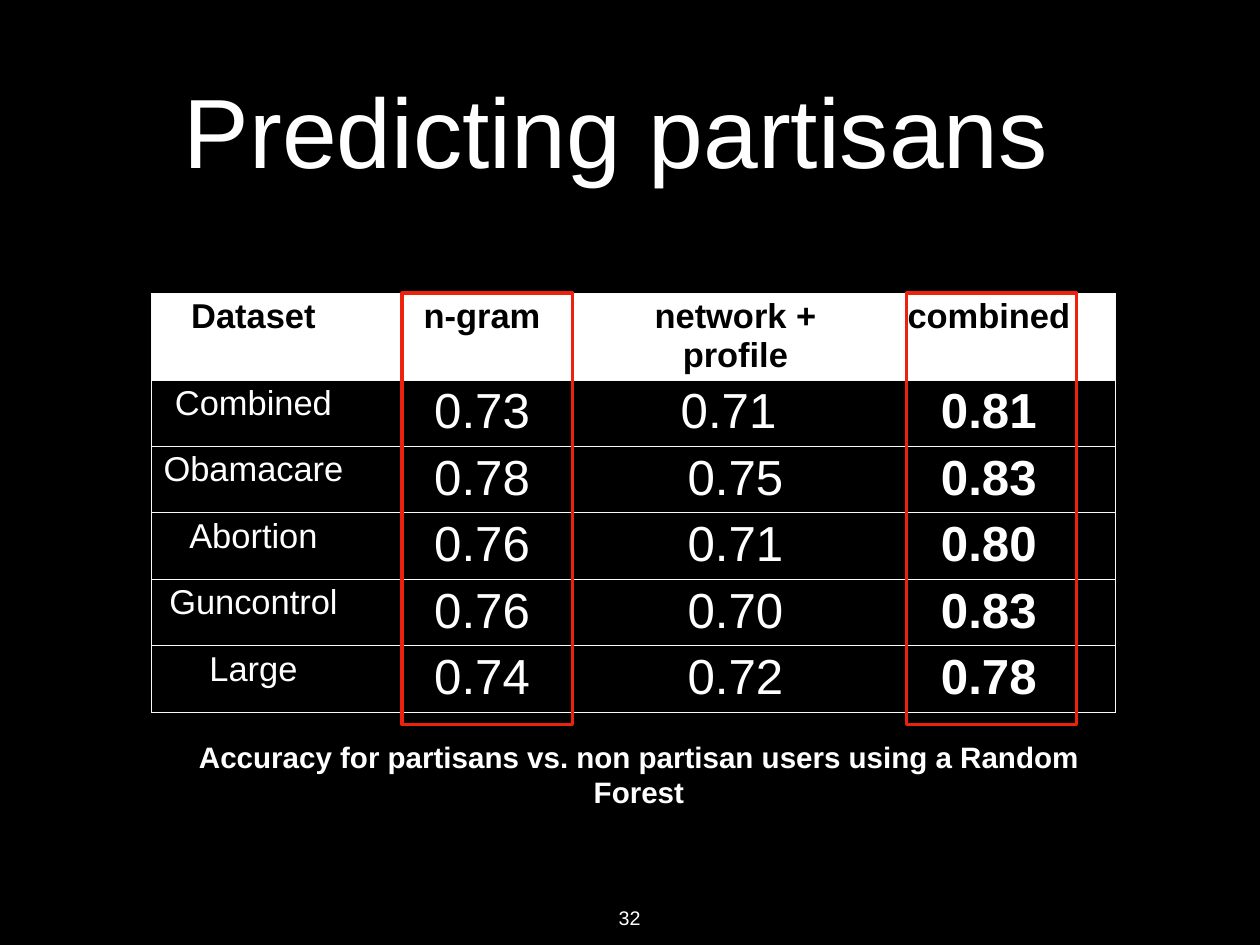
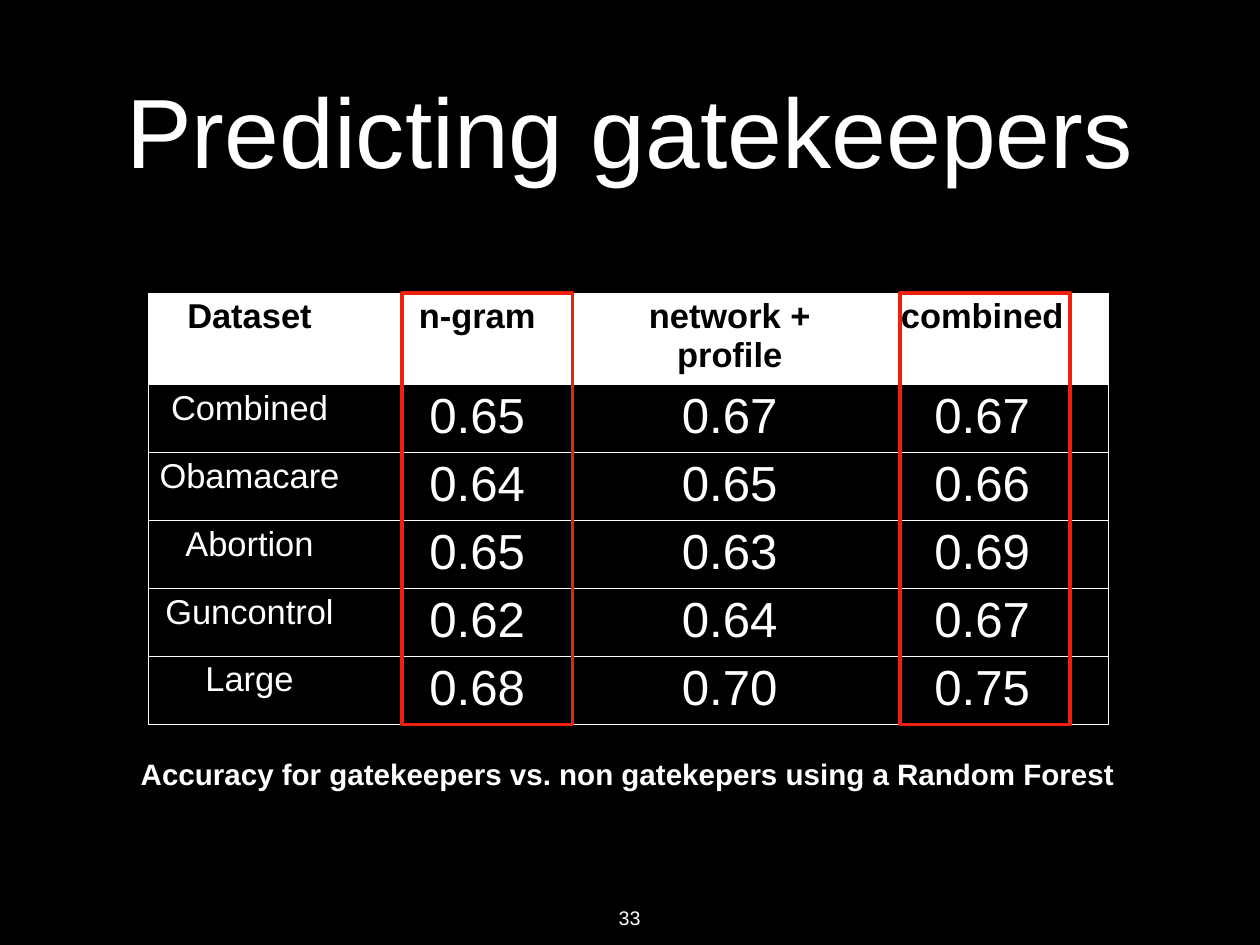
from dataclasses import dataclass

from lxml import etree
from pptx import Presentation
from pptx.dml.color import RGBColor
from pptx.enum import shapes, text
from pptx.oxml import ns
from pptx.util import Inches, Pt


@dataclass(frozen=True)
class Theme:
    font: str = "Arial"
    back: str = "000000"
    ink: str = "FFFFFF"
    rule: str = "F9F9F9"
    mark: str = "EE220C"
    title: int = 80
    value: int = 40
    label: int = 28
    note: int = 24
    page: int = 16
    thin: float = 0.75
    thick: float = 3


T = Theme()
TOP = 3.31
HEADS = ["Dataset", "n-gram", "network + profile", "combined"]
NAMES = ["Combined", "Obamacare", "Abortion", "Guncontrol", "Large"]
HEAD_H, ROW_H = 0.98, 0.75
MARK_W, MARK_H = 1.92, 4.87

PARTISANS = [
    ["0.73", "0.71 ", "0.81"],
    ["0.78", "0.75", "0.83"],
    ["0.76", "0.71", "0.80"],
    ["0.76", "0.70", "0.83"],
    ["0.74", "0.72", "0.78"],
]
KEEPERS = [
    ["0.65", "0.67", "0.67"],
    ["0.64", "0.65", "0.66"],
    ["0.65", "0.63", "0.69"],
    ["0.62", "0.64", "0.67"],
    ["0.68", "0.70", "0.75"],
]


def rgb(code):
    return RGBColor.from_string(code)


def write(frame, words, size, color=T.ink, bold=False):
    para = frame.paragraphs[0]
    para.alignment = text.PP_ALIGN.CENTER
    run = para.add_run()
    run.text = words
    font = run.font
    font.name, font.size, font.bold = T.font, Pt(size), bold
    font.color.rgb = rgb(color)


def add_text(slide, box, words, size, bold=False, wrap=True, grow=False,
             anchor=text.MSO_ANCHOR.MIDDLE):
    frame = slide.shapes.add_textbox(*map(Inches, box)).text_frame
    frame.margin_left = frame.margin_right = Inches(0.06)
    frame.margin_top = frame.margin_bottom = Inches(0.06)
    frame.word_wrap = wrap
    frame.vertical_anchor = anchor
    kind = text.MSO_AUTO_SIZE
    frame.auto_size = kind.SHAPE_TO_FIT_TEXT if grow else kind.NONE
    write(frame, words, size, bold=bold)


def set_edges(cell, shown):
    """Rule the named sides (L, R, T, B) and clear the others."""
    props = cell._tc.get_or_add_tcPr()
    for side in "LRTB":
        line = etree.SubElement(props, ns.qn("a:ln" + side), w=str(Pt(T.thin)))
        if side in shown:
            fill = etree.SubElement(line, ns.qn("a:solidFill"))
            etree.SubElement(fill, ns.qn("a:srgbClr"), val=T.rule)
        else:
            etree.SubElement(line, ns.qn("a:noFill"))


def add_scores(slide, left, first, wide, scores, strong):
    """Add the score table; strong sets the last column in bold."""
    rows = [HEADS] + [[name] + row for name, row in zip(NAMES, scores)]
    last = len(HEADS) - 1
    width = first + last * wide
    height = HEAD_H + len(NAMES) * ROW_H
    grid = slide.shapes.add_table(
        len(rows), len(HEADS), *map(Inches, (left, TOP, width, height))).table
    grid.first_row = grid.horz_banding = False
    for c, col in enumerate(grid.columns):
        col.width = Inches(wide if c else first)
    for r, row in enumerate(rows):
        grid.rows[r].height = Inches(ROW_H if r else HEAD_H)
        for c, words in enumerate(row):
            cell = grid.cell(r, c)
            set_edges(cell, "TB" + "L" * (c == 0) + "R" * (c == last))
            cell.fill.solid()
            cell.fill.fore_color.rgb = rgb(T.back if r else T.ink)
            write(cell.text_frame, words,
                  T.value if r and c else T.label,
                  color=T.ink if r else T.back,
                  bold=r == 0 or (strong and c == last))


def add_mark(slide, left):
    box = slide.shapes.add_shape(
        shapes.MSO_SHAPE.RECTANGLE,
        *map(Inches, (left, TOP, MARK_W, MARK_H)))
    box.shadow.inherit = False
    box.fill.background()
    box.line.color.rgb = rgb(T.mark)
    box.line.width = Pt(T.thick)


def add_page(deck, title, table, note, span, page, marks):
    slide = deck.slides.add_slide(deck.slide_layouts[6])
    add_text(slide, (1.04, 0.28, 12.14, 2.36), title, T.title)
    add_scores(slide, *table)
    left, width = span
    add_text(slide, (left, 8.48, width, 0.52), note, T.note,
             bold=True, grow=True)
    add_text(slide, (6.92, 10.17, 0.37, 0.35), page, T.page, wrap=False,
             grow=True, anchor=text.MSO_ANCHOR.TOP)
    for x in marks:
        add_mark(slide, x)


def main():
    deck = Presentation()
    deck.slide_width, deck.slide_height = Inches(14.22), Inches(10.67)
    fill = deck.slide_master.background.fill
    fill.solid()
    fill.fore_color.rgb = rgb(T.back)
    add_page(deck, "Predicting partisans ",
             (1.71, 2.3, 2.86, PARTISANS, True),
             "Accuracy for partisans vs. non partisan users "
             "using a Random Forest",
             (1.67, 11.08), "32", (4.54, 10.23))
    add_page(deck, "Predicting gatekeepers",
             (1.67, 2.29, 2.85, KEEPERS, False),
             "Accuracy for gatekeepers vs. non gatekepers "
             "using a Random Forest",
             (1.42, 11.32), "33", (4.54, 10.16))
    deck.save("out.pptx")


if __name__ == "__main__":
    main()
